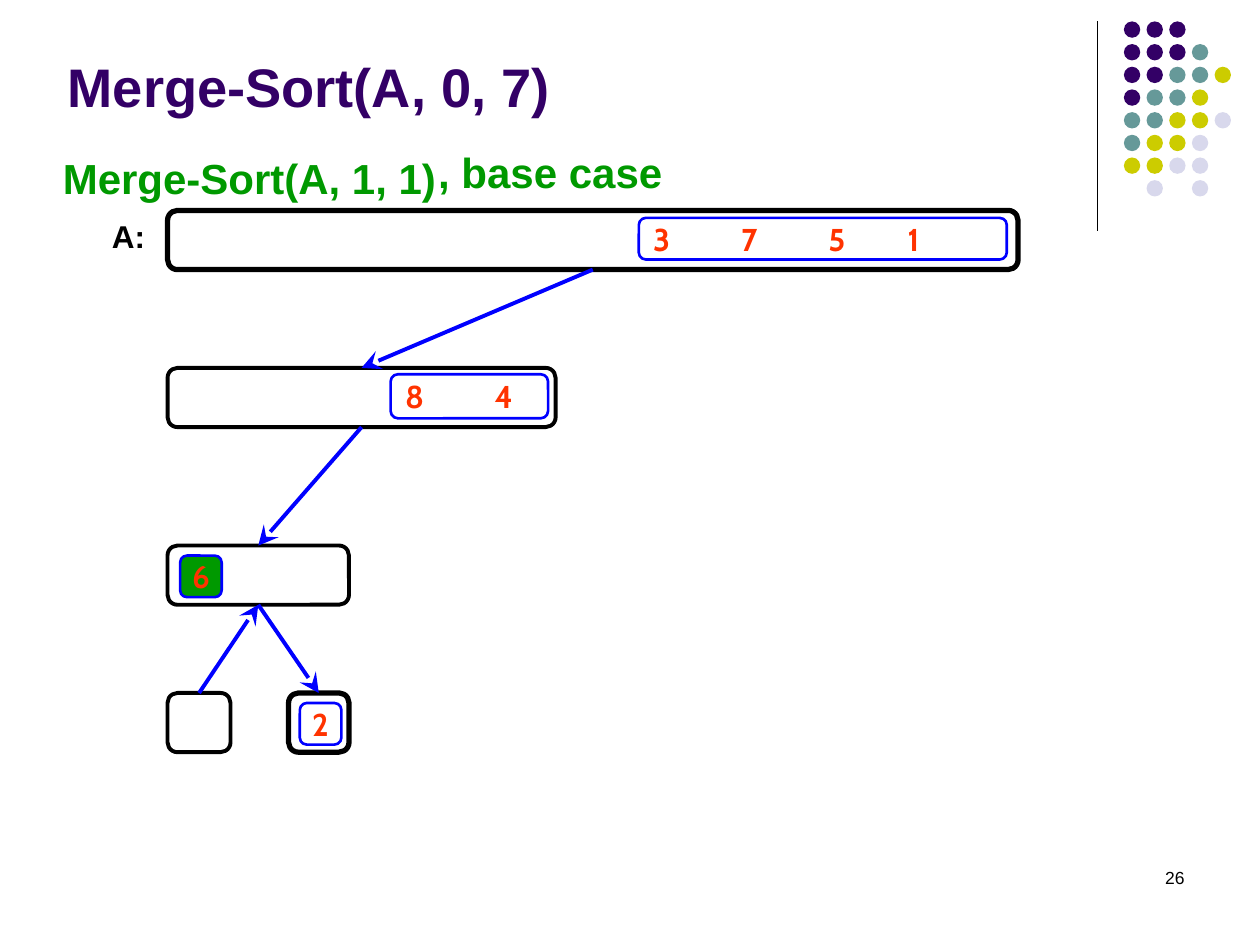
import pptx
import pptx.util
import pptx.dml.color
import pptx.enum.shapes
import pptx.enum.text
import pptx.oxml
import pptx.oxml.ns

Inches = pptx.util.Inches
Pt = pptx.util.Pt
ALIGN = pptx.enum.text.PP_ALIGN
ANCHOR = pptx.enum.text.MSO_ANCHOR
SHAPE = pptx.enum.shapes.MSO_SHAPE
TOP, BOTTOM = 0, 2

BLACK, BLUE, GREEN, PURPLE, RED = "000000", "0000FF", "009900", "330066", "FF3300"
DOT_COLORS = {"P": PURPLE, "T": "669999", "Y": "CCCC00", "L": "D8D8EC"}
DOT_ROWS = ["PPP", "PPPT", "PPTTY", "PTTY", "TTYYL", "TYYL", "YYLL", " L L"]


def color(value):
    return pptx.dml.color.RGBColor.from_string(value)


def add_xml(parent, tag, **attributes):
    element = pptx.oxml.parse_xml(f"<a:{tag} {pptx.oxml.ns.nsdecls('a')}/>")
    for name, value in attributes.items():
        element.set(name, str(value))
    parent.append(element)
    return element


def write(sp, text, size=18, font="Arial", fill=BLACK, bold=True,
          align=ALIGN.LEFT, anchor=ANCHOR.TOP, wrap=True, tabs=()):
    tf = sp.text_frame
    tf.word_wrap = wrap
    tf.vertical_anchor = anchor
    p = tf.paragraphs[0]
    p.alignment = align
    if tabs:
        stops = add_xml(p._p.get_or_add_pPr(), "tabLst")
        for stop in tabs:
            add_xml(stops, "tab", pos=Inches(stop), algn="l")
    r = p.add_run()
    r.text = text
    r.font.size = Pt(size)
    r.font.name = font
    r.font.bold = bold
    r.font.color.rgb = color(fill)


class Deck:
    def __init__(self):
        self.prs = pptx.Presentation()
        self.prs.slide_width = Inches(10)
        self.prs.slide_height = Inches(7.5)
        self.s = self.prs.slides.add_slide(self.prs.slide_layouts[6])

    def text(self, x, y, w, h, text, **style):
        sp = self.s.shapes.add_textbox(Inches(x), Inches(y), Inches(w), Inches(h))
        write(sp, text, **style)

    def shape(self, kind, x, y, w, h, fill=None, line=None, width=2.25):
        sp = self.s.shapes.add_shape(kind, Inches(x), Inches(y), Inches(w), Inches(h))
        sp.shadow.inherit = False
        if fill:
            sp.fill.solid()
            sp.fill.fore_color.rgb = color(fill)
        else:
            sp.fill.background()
        if line:
            sp.line.color.rgb = color(line)
            sp.line.width = Pt(width)
        else:
            sp.line.fill.background()
        return sp

    def array(self, x, y, w, h=0.47, width=2.25, line=BLACK, fill=None):
        return self.shape(SHAPE.ROUNDED_RECTANGLE, x, y, w, h, fill, line, width)

    def values(self, x, y, w, h, text, fill=None, **style):
        sp = self.array(x, y, w, h, 1.5, BLUE, fill)
        write(sp, text, font="Cabin", fill=RED, anchor=ANCHOR.MIDDLE, **style)

    def line(self, x1, y1, x2, y2, line=BLACK, width=0.75):
        c = self.s.shapes.add_connector(
            pptx.enum.shapes.MSO_CONNECTOR.STRAIGHT,
            Inches(x1), Inches(y1), Inches(x2), Inches(y2))
        c.line.color.rgb = color(line)
        c.line.width = Pt(width)
        add_xml(c._element.spPr, "effectLst")
        return c

    def arrow(self, start, start_site, end, end_site):
        c = self.line(0, 0, 1, 1, BLUE, 2.25)
        c.begin_connect(start, start_site)
        c.end_connect(end, end_site)
        add_xml(c.line._get_or_add_ln(), "tailEnd", type="stealth", w="lg", len="lg")

    def dots(self, x, y, pitch, size):
        for row, codes in enumerate(DOT_ROWS):
            for col, code in enumerate(codes):
                if code in DOT_COLORS:
                    self.shape(SHAPE.OVAL, x + col * pitch, y + row * pitch,
                               size, size, DOT_COLORS[code])


def main():
    deck = Deck()
    deck.line(8.71, 0.17, 8.71, 1.83)
    deck.dots(8.92, 0.17, 0.18, 0.13)
    deck.text(7.17, 6.83, 2.33, 0.5, "26", size=10, bold=False, align=ALIGN.RIGHT)

    whole = deck.array(1.33, 1.67, 6.75, width=3)
    half = deck.array(1.33, 2.92, 3.08)
    quarter = deck.array(1.33, 4.33, 1.44)
    left_leaf = deck.array(1.33, 5.5, 0.5)
    right_leaf = deck.array(2.29, 5.5, 0.48, width=3)

    deck.arrow(whole, BOTTOM, half, TOP)
    deck.arrow(half, BOTTOM, quarter, TOP)
    deck.arrow(left_leaf, TOP, quarter, BOTTOM)
    deck.arrow(quarter, BOTTOM, right_leaf, TOP)

    deck.values(5.07, 1.73, 2.92, 0.33, "3\t7\t5\t1", tabs=(0.7, 1.39, 2.02))
    deck.values(3.1, 2.97, 1.25, 0.35, "8\t4", tabs=(0.71,))
    deck.values(1.43, 4.41, 0.33, 0.33, "6", fill=GREEN, align=ALIGN.CENTER, wrap=False)
    deck.values(2.38, 5.58, 0.33, 0.33, "2", align=ALIGN.CENTER, wrap=False)

    deck.text(0.4, 1.16, 3.4, 0.5, "Merge-Sort(A, 1, 1)", size=24, fill=GREEN)
    deck.text(3.38, 1.11, 2.43, 0.5, ", base case", size=24, fill=GREEN)
    deck.text(0.79, 1.67, 0.54, 0.4, "A:")
    deck.text(0.44, 0.35, 8.25, 0.64, "Merge-Sort(A, 0, 7)", size=31, fill=PURPLE,
              anchor=ANCHOR.BOTTOM)
    deck.prs.save("out.pptx")


if __name__ == "__main__":
    main()
